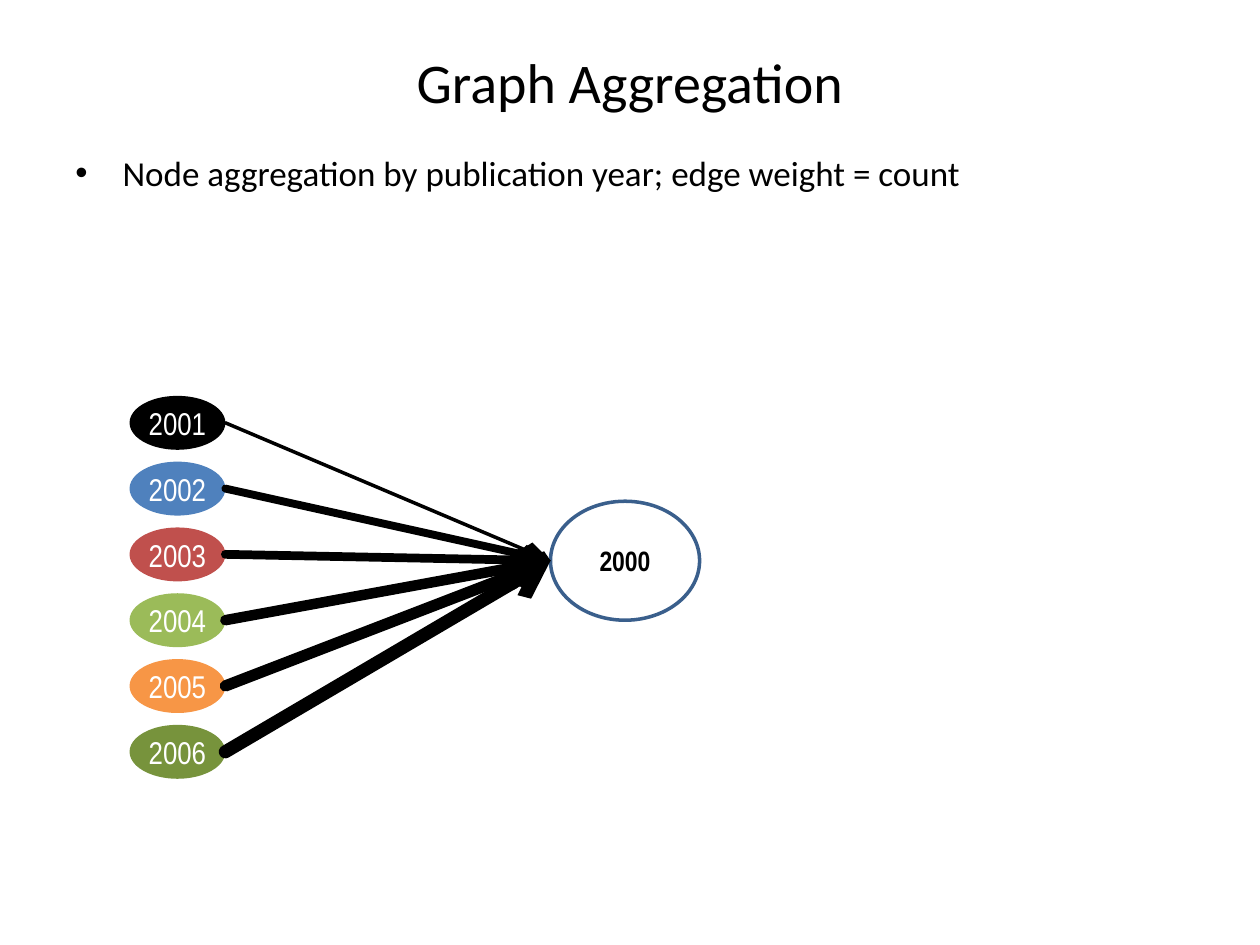
from lxml.etree import SubElement
from pptx import Presentation
from pptx.dml.color import RGBColor
from pptx.enum.shapes import MSO_CONNECTOR, MSO_SHAPE
from pptx.enum.text import MSO_ANCHOR, PP_ALIGN
from pptx.oxml.ns import qn
from pptx.util import Pt

# Content
TITLE = "Graph Aggregation"
BULLET = "Node aggregation by publication year; edge weight = count"
TARGET = "2000"
SOURCES = [  # year, fill colour, edge weight in points
    ("2001", "000000", 2),
    ("2002", "4F81BD", 4.5),
    ("2003", "C0504D", 5),
    ("2004", "9BBB59", 6),
    ("2005", "F79646", 6.5),
    ("2006", "77933C", 7.5),
]

THEME = {
    "text": "000000", "light": "FFFFFF", "outline": "3A5F8C", "edge": "000000",
    "body_font": "Calibri", "node_font": "Arial Narrow",
    "title_size": 32, "bullet_size": 20, "source_size": 18, "target_size": 16,
}

# Layout in points: left, top, width, height
TITLE_BOX = (36, 21.6, 648, 49.68)
BODY_BOX = (36, 82.8, 648, 399.6)
FIRST_SOURCE = (74, 226.2, 54.8, 30.8)
SOURCE_STEP = 37.6
TARGET_BOX = (314.6, 286.4, 85.2, 68)
BULLET_INDENT = 27


def color(name):
    return RGBColor.from_string(name)


def write_text(shape, text, *, size, font=THEME["body_font"], ink=THEME["text"],
               bold=False, align=PP_ALIGN.CENTER, anchor=MSO_ANCHOR.MIDDLE,
               side_inset=7.2, bullet=False):
    frame = shape.text_frame
    frame.word_wrap = True
    frame.vertical_anchor = anchor
    frame.margin_left = frame.margin_right = Pt(side_inset)
    frame.margin_top = frame.margin_bottom = Pt(3.6)
    paragraph = frame.paragraphs[0]
    paragraph.text = text
    paragraph.alignment = align
    if bullet:
        properties = paragraph._p.get_or_add_pPr()
        properties.set("marL", str(Pt(BULLET_INDENT)))
        properties.set("indent", str(-Pt(BULLET_INDENT)))
        SubElement(properties, qn("a:buFont"), typeface="Arial")
        SubElement(properties, qn("a:buChar"), char="•")
    run_font = paragraph.runs[0].font
    run_font.name, run_font.size, run_font.bold = font, Pt(size), bold
    run_font.color.rgb = color(ink)


def add_text_box(slide, box, text, **text_format):
    write_text(slide.shapes.add_textbox(*map(Pt, box)), text, **text_format)


def add_node(slide, box, text, *, fill, outline=None, **text_format):
    node = slide.shapes.add_shape(MSO_SHAPE.OVAL, *map(Pt, box))
    node.shadow.inherit = False
    node.fill.solid()
    node.fill.fore_color.rgb = color(fill)
    if outline:
        node.line.color.rgb = color(outline)
        node.line.width = Pt(2)
    else:
        node.line.fill.background()
    write_text(node, text, font=THEME["node_font"], **text_format)
    return node


def add_edge(slide, source, target, weight):
    # From the right end of the source to the left end of the target
    edge = slide.shapes.add_connector(
        MSO_CONNECTOR.STRAIGHT,
        source.left + source.width, source.top + source.height // 2,
        target.left, target.top + target.height // 2)
    edge.line.color.rgb = color(THEME["edge"])
    edge.line.width = Pt(weight)
    line = edge.line._get_or_add_ln()
    line.set("cap", "rnd")
    SubElement(line, qn("a:tailEnd"), type="arrow")
    SubElement(edge._element.spPr, qn("a:effectLst"))


def main():
    presentation = Presentation()
    presentation.slide_width, presentation.slide_height = Pt(720), Pt(540)
    slide = presentation.slides.add_slide(presentation.slide_layouts[6])

    # Title and bullet
    add_text_box(slide, TITLE_BOX, TITLE, size=THEME["title_size"])
    add_text_box(slide, BODY_BOX, BULLET, size=THEME["bullet_size"],
                 align=PP_ALIGN.LEFT, anchor=MSO_ANCHOR.TOP, bullet=True)

    # Column of source years
    left, top, width, height = FIRST_SOURCE
    sources = [
        add_node(slide, (left, top + row * SOURCE_STEP, width, height), year,
                 fill=fill, size=THEME["source_size"], ink=THEME["light"],
                 side_inset=0)
        for row, (year, fill, _) in enumerate(SOURCES)
    ]

    # Target year and weighted edges
    target = add_node(slide, TARGET_BOX, TARGET, fill=THEME["light"],
                      outline=THEME["outline"], size=THEME["target_size"], bold=True)
    for source, (_, _, weight) in zip(sources, SOURCES):
        add_edge(slide, source, target, weight)

    presentation.save("out.pptx")


if __name__ == "__main__":
    main()
